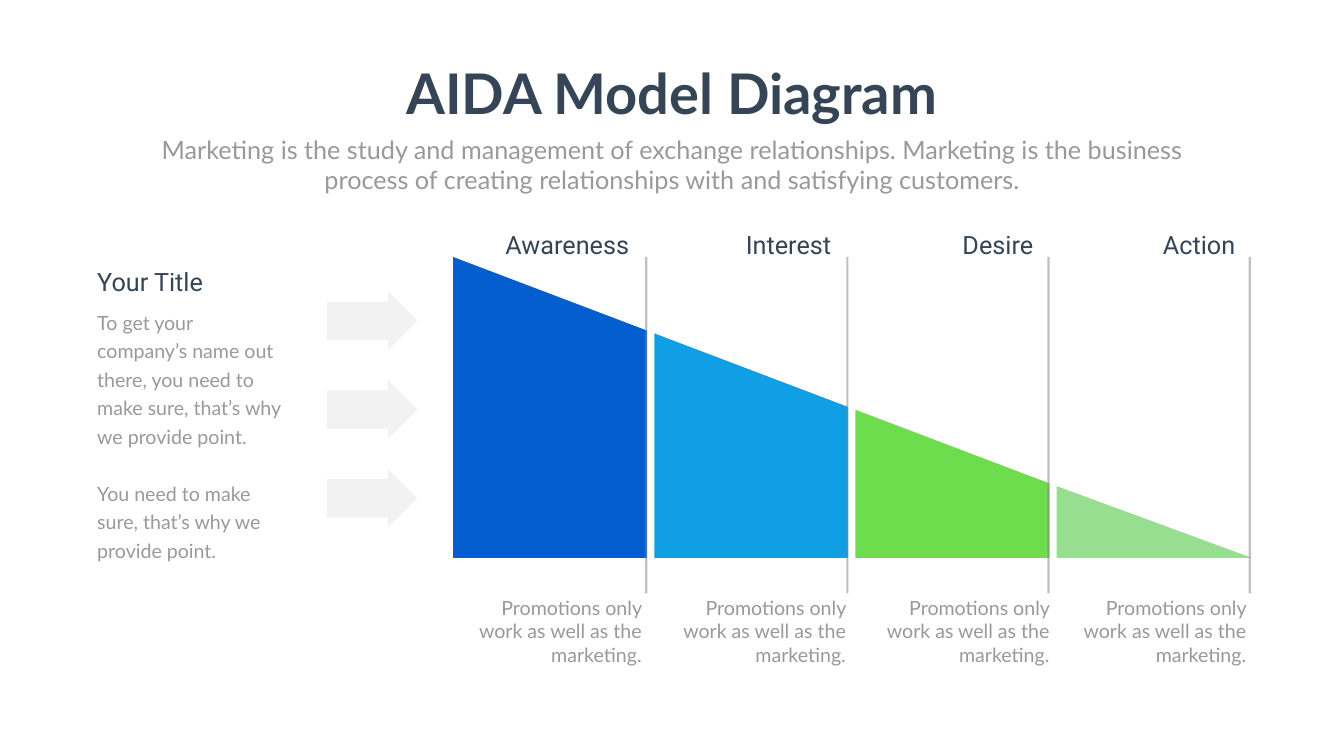
"""Build a slide with the AIDA model as a falling row of four stages."""
from pptx import Presentation
from pptx.dml.color import RGBColor
from pptx.enum.shapes import MSO_CONNECTOR, MSO_SHAPE
from pptx.enum.text import PP_ALIGN
from pptx.oxml.ns import qn
from pptx.util import Cm, Pt
from lxml.etree import SubElement

NAVY = RGBColor(0x36, 0x45, 0x56)
GREY = RGBColor(0x99, 0x99, 0x99)
STEEL = RGBColor(0x80, 0x80, 0x80)
BLUE = RGBColor(0x04, 0x5E, 0xD0)
SKY = RGBColor(0x10, 0x9F, 0xE4)
GREEN = RGBColor(0x6E, 0xDD, 0x4D)
MINT = RGBColor(0x98, 0xDE, 0x91)

NOTE = "Promotions only work as well as the marketing."
STAGES = [
    ("Awareness", BLUE, 0.33),
    ("Interest", SKY, 10.62),
    ("Desire", GREEN, 20.88),
    ("Action", MINT, 30.79),
]
STORY = [
    "To get your company’s name out there, you need to make sure, that’s why we provide point.",
    "You need to make sure, that’s why we provide point.",
]
LEAD = (
    "Marketing is the study and management of exchange relationships. "
    "Marketing is the business process of creating relationships with "
    "and satisfying customers."
)


def fade(shape, part):
    """Set the opacity of the shape's solid colour in percent."""
    color = next(shape._element.spPr.iter(qn("a:srgbClr")))
    SubElement(color, qn("a:alpha"), val=str(part * 1000))


def write(slide, box, lines, size, font, color, align=PP_ALIGN.LEFT, bold=False, wrap=True):
    """Add a text box and return its paragraphs."""
    frame = slide.shapes.add_textbox(*map(Cm, box)).text_frame
    frame.word_wrap = wrap
    frame.text = "\n".join(lines)
    for para in frame.paragraphs:
        para.alignment = align
        para.font.size = Pt(size)
        para.font.name = font
        para.font.bold = bold
        para.font.color.rgb = color
    return frame.paragraphs


def header(slide, x, y, w, h):
    """Place the title over its lead text."""
    write(slide, (x + 12.55, y, w - 25.1, 3.68), ["AIDA Model Diagram"],
          80, "Lato", NAVY, PP_ALIGN.CENTER, True, False)
    write(slide, (x, y + 3.78, w, h - 3.78), [LEAD], 36, "Lato", GREY, PP_ALIGN.CENTER)


def aside(slide, x, y, w, h):
    """Place the side heading and its two paragraphs."""
    write(slide, (x, y, w, 1.8), ["Your Title"], 36, "Roboto", NAVY)
    paras = write(slide, (x, y + 1.96, w, h - 1.96), STORY, 28, "Lato", GREY)
    for para in paras:
        para.line_spacing = Pt(40.8)
    paras[1].space_before = Pt(40.8)


def arrows(slide, x, y, w, h, count=3):
    """Stack pale arrows at equal gaps down the box."""
    tall = 2.97
    step = (h - tall) / (count - 1)
    for i in range(count):
        arrow = slide.shapes.add_shape(
            MSO_SHAPE.RIGHT_ARROW, Cm(x), Cm(y + i * step), Cm(w), Cm(tall))
        arrow.adjustments[0] = 0.65
        arrow.shadow.inherit = False
        arrow.fill.solid()
        arrow.fill.fore_color.rgb = STEEL
        arrow.line.fill.background()
        fade(arrow, 10)


def wedge(slide, points, color):
    """Draw one filled outline through the points."""
    spots = [(Cm(a), Cm(b)) for a, b in points]
    build = slide.shapes.build_freeform(*spots[0])
    build.add_line_segments(spots[1:], close=True)
    shape = build.convert_to_shape()
    shape.shadow.inherit = False
    shape.fill.solid()
    shape.fill.fore_color.rgb = color
    shape.line.fill.background()


def rule(slide, x, top, end):
    """Draw one upright stage line."""
    line = slide.shapes.add_connector(MSO_CONNECTOR.STRAIGHT, Cm(x), Cm(top), Cm(x), Cm(end))
    line.line.width = Pt(3)
    line.line.color.rgb = STEEL
    fade(line, 50)
    SubElement(line._element.spPr, qn("a:effectLst"))


def funnel(slide, x, y, w, h):
    """Place the falling stages with their lines, labels and notes."""
    wide = 9.77
    step = (w - wide) / (len(STAGES) - 1)
    base = y + h
    for i, (name, color, shift) in enumerate(STAGES):
        left, top = x + i * step, y + i * 3.85
        right, low = left + wide, min(top + 3.71, base - 0.03)
        wedge(slide, [(left, top), (right, low), (right, base), (left, base)], color)
        rule(slide, left + 9.73, y, base + 1.78)
        write(slide, (x + 0.33 + i * 10.18, y - 1.52, 8.79, 1.8), [name],
              36, "Roboto", NAVY, PP_ALIGN.RIGHT)
        write(slide, (x + shift, base + 1.78, 9.42, 3.84), [NOTE],
              28, "Lato", GREY, PP_ALIGN.RIGHT)


def main():
    """Build and save the slide."""
    deck = Presentation()
    deck.slide_width, deck.slide_height = Cm(67.72), Cm(38.1)
    slide = deck.slides.add_slide(deck.slide_layouts[6])
    funnel(slide, 22.83, 12.95, 40.18, 15.17)
    arrows(slide, 16.48, 14.68, 4.55, 11.91)
    aside(slide, 4.65, 13.31, 9.78, 15.22)
    header(slide, 7.42, 2.84, 52.88, 7.11)
    deck.save("out.pptx")


main()
